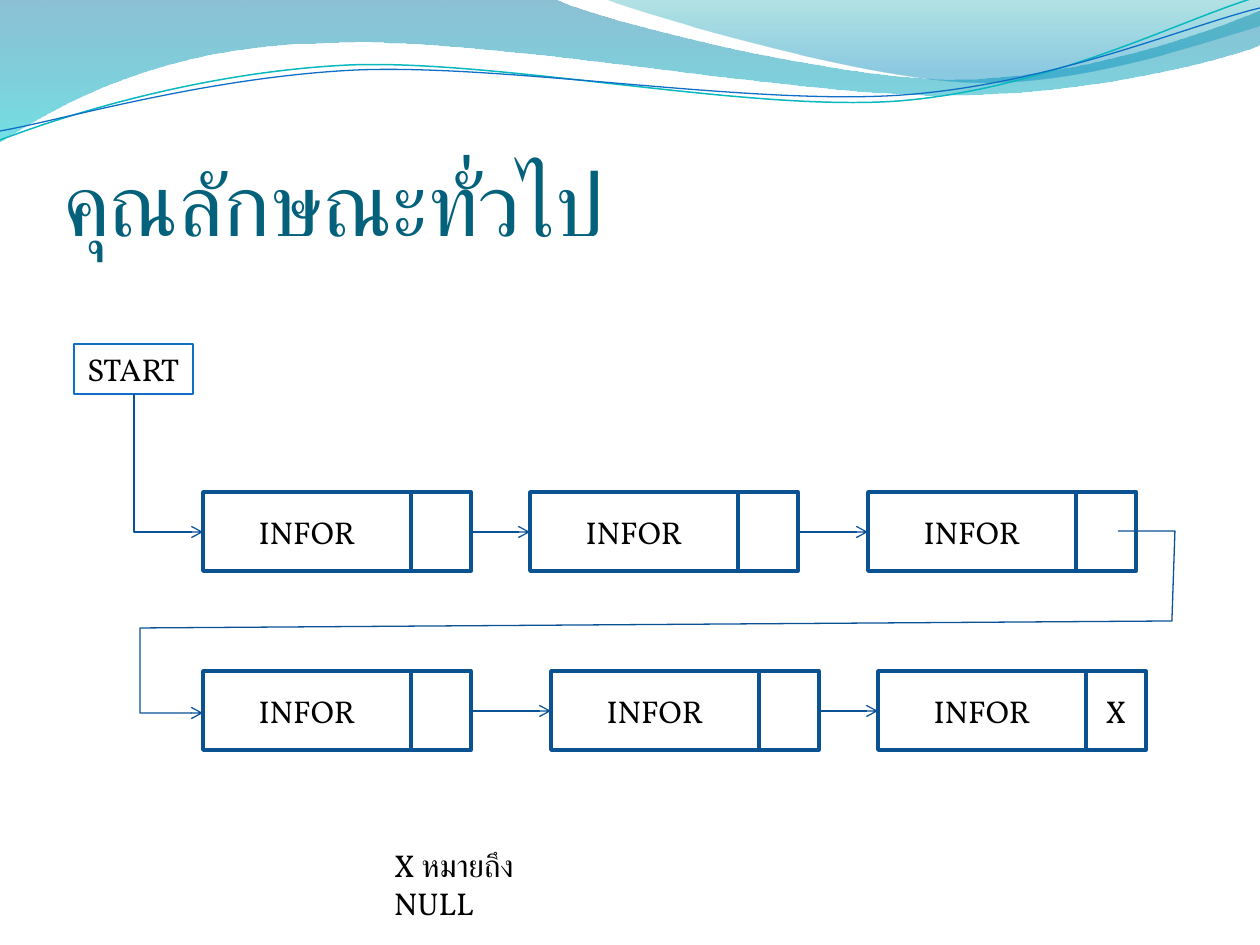
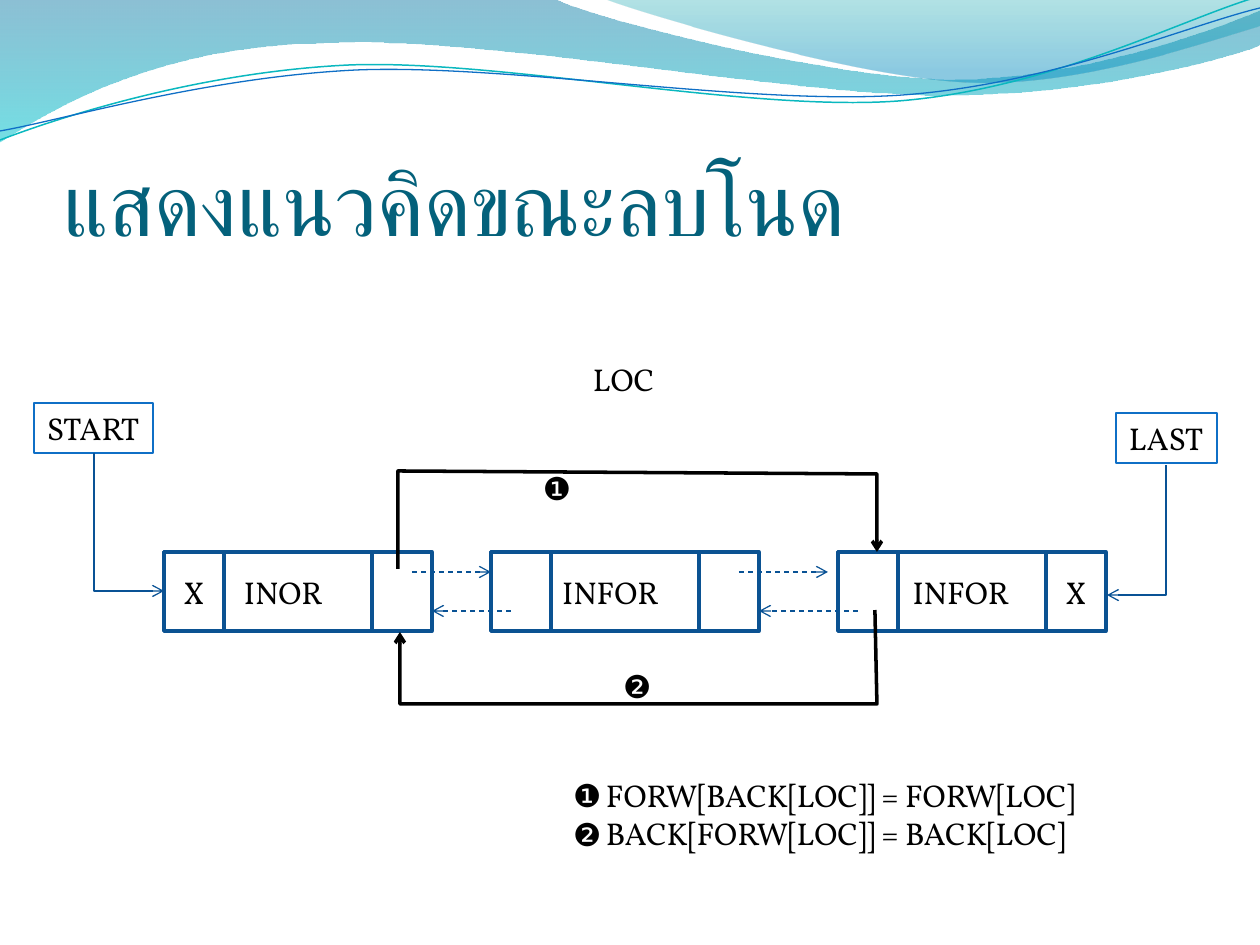
from lxml.etree import SubElement
from pptx import Presentation
from pptx.dml.color import RGBColor
from pptx.enum.dml import MSO_LINE
from pptx.enum.shapes import MSO_CONNECTOR, MSO_SHAPE
from pptx.enum.text import MSO_ANCHOR, MSO_AUTO_SIZE, PP_ALIGN
from pptx.oxml.ns import qn
from pptx.util import Pt

SCALE = 914400 / 126
RECT = MSO_SHAPE.RECTANGLE
STRAIGHT, ELBOW = MSO_CONNECTOR.STRAIGHT, MSO_CONNECTOR.ELBOW
DASH = MSO_LINE.DASH
LEFT, CENTER = PP_ALIGN.LEFT, PP_ALIGN.CENTER
TOP, MIDDLE, BOTTOM = MSO_ANCHOR.TOP, MSO_ANCHOR.MIDDLE, MSO_ANCHOR.BOTTOM
COLORS = {
    "title": "04617B", "ink": "000000", "paper": "FFFFFF",
    "edge": "0B5292", "link": "095295", "tag": "0F6FC6", "teal": "0AB8BF",
    "deep": "0074A1", "aqua": "00C6CF", "sea": "00A1A9", "sky": "008BBF",
}
BODY, HEAD = "Vollkorn", "Calibri"
INFO, CELL, TALL = 208, 60, 79
NODE = INFO + CELL

BANDS = [
    ([(0, 0), (554, -1), (600, 21, 837, 79, 955, 79),
      (1075, 79, 1207, 33, 1260, 11), (1261, 45),
      (1239, 55, 1096, 96, 940, 95), (784, 95, 481, 35, 324, 43),
      (163, 45, 58, 105, -1, 142)],
     [(0, "deep", 45), (1, "aqua", 55)]),
    ([(604, -1), (641, 14, 859, 78, 969, 82),
      (1079, 87, 1211, 40, 1260, 26), (1260, 0)],
     [(0, "sea", 30), (0.8, "sky", 45)]),
]
WAVES = [
    ([(0, 140), (60, 117, 199, 72, 349, 65), (498, 59, 747, 112, 898, 101),
      (1050, 89, 1182, 19, 1257, -3)], "teal", 0.85),
    ([(0, 131), (59, 121, 207, 77, 357, 70), (508, 64, 752, 106, 903, 95),
      (1053, 84, 1186, 26, 1260, 8)], "tag", 0.75),
]


def px(size):
    """Turn px into EMU."""
    return round(size * SCALE)


def tint(name):
    """Give the named colour."""
    return RGBColor.from_string(COLORS[name])


def put(shape, text, size=18, font=BODY, color="ink", align=LEFT, anchor=TOP,
        pads=(13, 6, 13, 6), wrap=False):
    """Write text into a shape, one paragraph a line."""
    frame = shape.text_frame
    frame.auto_size = MSO_AUTO_SIZE.NONE
    frame.word_wrap, frame.vertical_anchor = wrap, anchor
    frame.margin_left, frame.margin_top, frame.margin_right, frame.margin_bottom = map(px, pads)
    frame.text = text
    for para in frame.paragraphs:
        para.alignment = align
        for run in para.runs:
            run.font.size, run.font.name = Pt(size), font
            run.font.color.rgb = tint(color)


def label(slide, box, text, **style):
    """Place plain text."""
    put(slide.shapes.add_textbox(*map(px, box)), text, **style)


def block(slide, box, text="", edge="edge", width=2, **style):
    """Place a white outlined box, with text if given."""
    shape = slide.shapes.add_shape(RECT, *map(px, box))
    shape.shadow.inherit = False
    shape.fill.solid()
    shape.fill.fore_color.rgb = tint("paper")
    shape.line.color.rgb, shape.line.width = tint(edge), Pt(width)
    if text:
        put(shape, text, **style)


def tag(slide, box, text):
    """Place a thin box that names a pointer."""
    block(slide, box, text, edge="tag", width=0.75)


def curve(shape, steps):
    """Merge the three segments of each six-number step into one cubic curve."""
    parts = iter(shape.element.findall(".//" + qn("a:lnTo")))
    for step in steps[1:]:
        group = [next(parts) for _ in range(len(step) // 2)]
        if len(group) == 3:
            first = group[0]
            cubic = SubElement(first.getparent(), qn("a:cubicBezTo"))
            first.addprevious(cubic)
            for part in group:
                cubic.append(part[0])
                part.getparent().remove(part)


def outline(slide, steps, close=False):
    """Build a freeform of lines and curves without a shadow."""
    dots = [(px(s[i]), px(s[i + 1])) for s in steps for i in range(0, len(s), 2)]
    pen = slide.shapes.build_freeform(*dots[0], scale=1)
    pen.add_line_segments(dots[1:], close=close)
    shape = pen.convert_to_shape()
    shape.shadow.inherit = False
    curve(shape, steps)
    return shape


def ink(shape, color, width, dash=None, arrow=True):
    """Style a line and add its arrowhead."""
    shape.line.color.rgb, shape.line.width = tint(color), Pt(width)
    if dash:
        shape.line.dash_style = dash
    if arrow:
        SubElement(shape.element.find(".//" + qn("a:ln")), qn("a:tailEnd"), type="arrow")


def route(slide, steps, color="link", width=0.75, arrow=True):
    """Draw an open line through the steps."""
    shape = outline(slide, steps)
    shape.fill.background()
    ink(shape, color, width, arrow=arrow)
    return shape


def link(slide, ends, kind=STRAIGHT, dash=None):
    """Connect two points with an arrow."""
    line = slide.shapes.add_connector(kind, *map(px, ends))
    ink(line, "link", 0.75, dash)
    SubElement(line.element.spPr, qn("a:effectLst"))
    return line


def bend(slide, x, y, run, drop):
    """Draw an arrow that goes down, then right."""
    mid, half = x + run / 2, y + drop / 2
    line = link(slide, (mid + drop / 2, half - run / 2, mid - drop / 2, half + run / 2), ELBOW)
    line.element.find(".//" + qn("a:xfrm")).set("rot", "16200000")
    line.element.find(".//" + qn("a:prstGeom")).set("prst", "bentConnector2")


def node(slide, x, y, text, end="", back=None, shift=0):
    """Draw a node: info, next cell and, for two-way lists, a back cell."""
    mid = {"align": CENTER, "anchor": MIDDLE}
    block(slide, (x, y, INFO, TALL), text, pads=(13 + shift, 6, 13, 6), **mid)
    block(slide, (x + INFO, y, CELL, TALL), end, **mid)
    if back is not None:
        block(slide, (x, y, CELL, TALL), back, **mid)


def chain(slide, lefts, y, last=""):
    """Draw a row of one-way nodes joined by arrows."""
    for x in lefts:
        node(slide, x, y, "INFOR", last if x == lefts[-1] else "")
    for x, goal in zip(lefts, lefts[1:]):
        link(slide, (x + NODE, y + 40, goal, y + 40))


def theme(slide, layout):
    """Put the bands and waves on the master, and place the title."""
    shapes = []
    for steps, stops in BANDS:
        shape = outline(slide, steps, True)
        shape.line.fill.background()
        shape.fill.gradient()
        shape.fill.gradient_angle = 270
        for stop, (spot, color, _) in zip(shape.fill.gradient_stops, stops):
            stop.position, stop.color.rgb = spot, tint(color)
        for shade, (_, _, alpha) in zip(shape.element.spPr.iter(qn("a:srgbClr")), stops):
            SubElement(shade, qn("a:alpha"), val=str(alpha * 1000))
        shapes.append(shape)
    shapes += [route(slide, *wave, arrow=False) for wave in WAVES]
    for num, shape in enumerate(shapes, 20):
        shape.element.find(".//" + qn("p:cNvPr")).set("id", str(num))
        layout.slide_master.shapes.element.append(shape.element)
    title = layout.placeholders[0]
    title.left, title.top, title.width, title.height = map(px, (63, 96, 1134, 158))


def head(slide, text):
    """Fill the title."""
    put(slide.shapes.title, text, size=50, font=HEAD, color="title",
        anchor=BOTTOM, pads=(0, 6, 0, 0), wrap=True)


def general(slide):
    """Show a one-way list on two rows."""
    head(slide, "คุณลักษณะทั่วไป")
    tag(slide, (74, 344, 119, 50), "START")
    bend(slide, 134, 394, 69, 138)
    chain(slide, (203, 530, 868), 492)
    chain(slide, (203, 551, 878), 671, "X")
    route(slide, [(1118, 531), (1175, 531), (1172, 621), (140, 628), (140, 713), (203, 713)])
    label(slide, (381, 840, 219, 50), "X หมายถึง NULL", wrap=True)


def delete(slide):
    """Show a node leaving a two-way list."""
    head(slide, "แสดงแนวคิดขณะลบโนด")
    tag(slide, (34, 403, 119, 50), "START")
    tag(slide, (1116, 413, 101, 50), "LAST")
    bend(slide, 94, 453, 70, 138)
    route(slide, [(1166, 465), (1166, 595), (1107, 595)])
    lefts, y = (164, 491, 838), 552
    for x, text, back, end, shift in zip(
            lefts, ("INOR", "INFOR", "INFOR"), ("X", "", ""), ("", "", "X"), (31, 31, 38)):
        node(slide, x, y, text, end, back, shift)
    for x, goal, gap in zip(lefts, lefts[1:], (0, 10)):
        link(slide, (x + NODE - 20, y + 20, goal - gap, y + 20), dash=DASH)
        link(slide, (goal + 20, y + 59, x + NODE, y + 59), dash=DASH)
    route(slide, [(398, 569), (398, 471), (877, 474), (877, 552)], "ink", 2)
    route(slide, [(875, 610), (877, 704), (400, 704), (400, 632)], "ink", 2)
    label(slide, (580, 354, 89, 50), "LOC")
    label(slide, (530, 770, 591, 89),
          "FORW[BACK[LOC]] = FORW[LOC]\nBACK[FORW[LOC]] = BACK[LOC]", pads=(76, 6, 13, 6))
    marks = (("❶", 530, 463), ("❷", 610, 661), ("❶", 560, 770), ("❷", 560, 809))
    for mark, left, top in marks:
        label(slide, (left, top, 54, 50), mark)


def main():
    """Build and save the deck."""
    deck = Presentation()
    deck.slide_width, deck.slide_height = px(1260), px(945)
    layout = deck.slide_layouts[5]
    first, second = (deck.slides.add_slide(layout) for _ in range(2))
    theme(first, layout)
    general(first)
    delete(second)
    deck.save("out.pptx")


if __name__ == "__main__":
    main()
